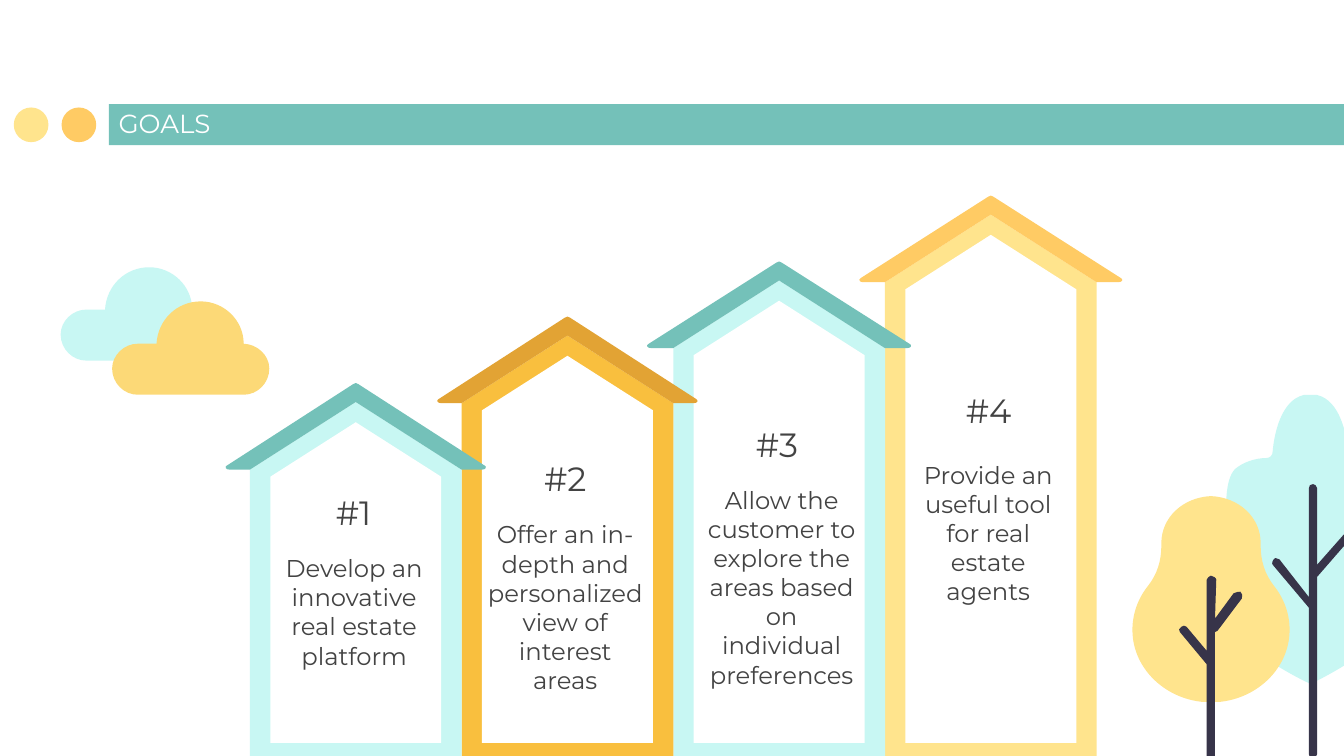
from itertools import islice

from pptx import Presentation
from pptx.dml.color import RGBColor
from pptx.enum.shapes import MSO_SHAPE
from pptx.enum.text import MSO_ANCHOR, PP_ALIGN
from pptx.oxml.xmlchemy import OxmlElement
from pptx.util import Pt

TEAL, AQUA, WHITE, INK, BARK = "74C1B9", "C8F7F3", "FFFFFF", "434343", "373449"
AMBER, CREAM = "FFCB64", "FFE48D"
HOUSE_LEFT, HOUSE_STEP, WALL_HALF, INNER_HALF = 190.6, 113.4, 56.7, 45.8
SLIDE_BOTTOM, FLOOR = 405, 398

CLOUD = [(47.5, 0), (34.6, 0, 24.5, 10, 23.8, 22.7), (13.7, 22.7), (6.5, 22.7, 0, 28.8, 0, 36),
         (0, 43.9, 6.5, 50, 13.7, 50), (70.5, 50), (77.8, 50, 84.2, 43.9, 84.2, 36),
         (84.2, 28.8, 77.8, 23, 70.5, 22.7), (70.5, 10, 59.8, 0, 47.5, 0)]
TALL_CROWN = [(0, 0), (-0.7, 0, -2.2, 0, -3.6, 0), (-15.8, 2.9, -19.4, 20.9, -20.2, 30.2),
              (-20.2, 32.4, -21.6, 33.8, -23.8, 33.8), (-29.5, 33.8, -36, 36, -40.3, 39.6),
              (-46.1, 45.4, -45.4, 61.9, -44.6, 70.6), (-44.6, 72.7, -46.1, 74.9, -49, 74.9),
              (-56.9, 74.9, -59.8, 83.5, -59.8, 83.5), (-74.9, 116.6, -9.4, 150.5, -1.4, 154.1),
              (-0.7, 154.8, 0, 154.8, 0, 154.8)]
TALL_TRUNK = [(0, 0), (-1.4, 0, -2.2, 0.7, -2.2, 2.2), (-2.2, 60.5), (-18, 40.3),
              (-18.7, 39.6, -19.4, 39.6, -20.2, 39.6), (-21.6, 40.3, -22.3, 42.5, -21.6, 43.2),
              (-2.2, 66.2), (-2.2, 144.7), (-2.2, 146.2, -1.4, 146.9, 0, 146.9),
              (0.7, 146.9, 2.2, 146.2, 2.2, 144.7), (2.2, 49.7), (21.6, 27.4),
              (22.3, 26.6, 21.6, 25.2, 20.9, 24.5), (20.2, 23.8, 19.4, 23.8, 18.7, 24.5),
              (2.2, 43.2), (2.2, 2.2), (2.2, 0.7, 0.7, 0, 0, 0)]
ROUND_CROWN = [(0, 0), (-15.1, 0.7, -26.6, 11.5, -26.6, 25.2), (-26.6, 26.6),
               (-26.6, 34.6, -28.8, 41.8, -33.8, 48.2), (-39.6, 55.4, -43.2, 65.5, -41.8, 76.3),
               (-39.6, 93.6, -24.5, 108, -5, 110.2), (-3.6, 110.2, -1.4, 110.2, 0, 110.2)]
ROUND_TRUNK = [(0, 0), (-0.7, 0, -2.2, 1.4, -2.2, 2.2), (-2.2, 40.3), (-13, 27.4),
               (-13.7, 26.6, -15.1, 26.6, -15.8, 27.4), (-17.3, 28.1, -17.3, 29.5, -16.6, 30.2),
               (-2.2, 47.5), (-2.2, 102.2), (-2.2, 103, -1.4, 104.4, 0, 104.4),
               (1.4, 104.4, 2.2, 103, 2.2, 102.2), (2.2, 30.2), (2.9, 30.2, 2.9, 29.5, 3.6, 29.5),
               (16.6, 12.2), (17.3, 10.8, 16.6, 9.4, 15.8, 8.6), (15.1, 8.6, 13.7, 8.6, 12.2, 9.4),
               (2.2, 23), (2.9, 2.2), (2.9, 1.4, 1.4, 0, 0, 0)]

GOALS = [
    (205.2, 70.4, TEAL, AQUA, (152.6, 295.7, 74.2, 85.7),
     ["Develop an innovative", "real estate", "platform"]),
    (169.6, 70.4, "E2A334", "F9BF3E", (259.2, 277.7, 87.1, 85.7),
     ["Offer an in-depth and personalized view of interest areas"]),
    (140.1, 71.4, TEAL, AQUA, (379.1, 259.1, 79.2, 85.7),
     ["Allow the customer to explore the areas based on individual preferences"]),
    (104.8, 71.1, AMBER, CREAM, (492.3, 245.7, 74.2, 85.7),
     ["Provide an useful tool for real estate agents"]),
]


def colour(hex_code):
    """Turn a hex string into a colour."""
    return RGBColor.from_string(hex_code)


class Painter:
    """Holds the style and the current slide."""

    font = "Montserrat"

    def __init__(self, slide):
        self.slide = slide

    def paint(self, shape, fill):
        shape.shadow.inherit = False
        shape.fill.solid()
        shape.fill.fore_color.rgb = colour(fill)
        shape.line.fill.background()

    def preset(self, kind, box, fill):
        self.paint(self.slide.shapes.add_shape(kind, *map(Pt, box)), fill)

    def outline(self, x, y, parts, fill, mirrored=False):
        points = [pair for part in parts for pair in zip(part[::2], part[1::2])]
        sizes = [len(part) // 2 for part in parts[1:]]
        if mirrored:
            on_axis = points[-1][0] == 0
            points += [(-dx, dy) for dx, dy in reversed(points[:-1] if on_axis else points)]
            sizes += ([] if on_axis else [1]) + sizes[::-1]
        if sizes[-1] == 1 and points[-1] == points[0]:
            points.pop()
            sizes.pop()
        corners = [(Pt(x + dx), Pt(y + dy)) for dx, dy in points]
        builder = self.slide.shapes.build_freeform(*corners[0], scale=1.0)
        builder.add_line_segments(corners[1:], close=True)
        shape = builder.convert_to_shape()
        self.bend(shape, sizes)
        self.paint(shape, fill)

    def bend(self, shape, sizes):
        segments = iter(shape._element.xpath(".//a:lnTo"))
        for size in sizes:
            group = list(islice(segments, size))
            if size == 3:
                curve = OxmlElement("a:cubicBezTo")
                group[0].addprevious(curve)
                for segment in group:
                    curve.append(segment[0])
                    segment.getparent().remove(segment)

    def house(self, centre, top, roof_half, roof, wall):
        for half, apex, shoulder, base, fill in (
            (WALL_HALF, 10.2, 46.4, SLIDE_BOTTOM, wall),
            (INNER_HALF, 21, 50.2, FLOOR, WHITE),
        ):
            side = [(0, apex), (-half, shoulder), (-half, base - top)]
            self.outline(centre, top, side, fill, mirrored=True)
        eave = [(0, 10.2), (-WALL_HALF, 46.4), (2.9 - roof_half, 46.4),
                (0.7 - roof_half, 46.4, -roof_half, 45, 1.4 - roof_half, 44.2),
                (-1.4, 0.6), (-1, 0.2, -0.5, 0, 0, 0)]
        self.outline(centre, top, eave, roof, mirrored=True)

    def text(self, box, lines, size, ink=INK, align=PP_ALIGN.CENTER,
             anchor=MSO_ANCHOR.TOP, insets=(7.2, 7.2, 7.2, 7.2)):
        frame = self.slide.shapes.add_textbox(*map(Pt, box)).text_frame
        sides = ("margin_left", "margin_top", "margin_right", "margin_bottom")
        layout = {"word_wrap": True, "vertical_anchor": anchor, **dict(zip(sides, map(Pt, insets)))}
        for key, value in layout.items():
            setattr(frame, key, value)
        for index, line in enumerate(lines):
            paragraph = frame.add_paragraph() if index else frame.paragraphs[0]
            paragraph.alignment = align
            run = paragraph.add_run()
            run.text = line
            for key, value in {"name": self.font, "size": Pt(size)}.items():
                setattr(run.font, key, value)
            run.font.color.rgb = colour(ink)


def main():
    deck = Presentation()
    deck.slide_width, deck.slide_height = Pt(720), Pt(SLIDE_BOTTOM)
    painter = Painter(deck.slides.add_slide(deck.slide_layouts[6]))

    painter.preset(MSO_SHAPE.RECTANGLE, (58.4, 55.8, 684, 22), TEAL)
    for left, fill in ((33, AMBER), (7.4, CREAM)):
        painter.preset(MSO_SHAPE.OVAL, (left, 57.6, 18.6, 18.6), fill)
    painter.text((56.4, 56.9, 394.6, 24.5), ["GOALS"], 14, WHITE, PP_ALIGN.LEFT, MSO_ANCHOR.BOTTOM)

    for index, (top, roof_half, roof, wall, _, _) in reversed(list(enumerate(GOALS))):
        painter.house(HOUSE_LEFT + index * HOUSE_STEP, top, roof_half, roof, wall)
    for index, (_, _, _, _, box, lines) in enumerate(GOALS):
        painter.text(box, lines, 13, insets=(0, 0.7, 0, 0))
        number_box = (168.2 + index * HOUSE_STEP, 256.3 - index * 18.2, 42.5, 36.7)
        painter.text(number_box, [f"#{index + 1}"], 18)

    painter.outline(702, 211.6, TALL_CROWN, AQUA, mirrored=True)
    painter.outline(703.4, 259.4, TALL_TRUNK, BARK)
    painter.outline(648.8, 265.8, ROUND_CROWN, CREAM, mirrored=True)
    painter.outline(648.7, 308.4, ROUND_TRUNK, BARK)
    for left, top, fill in ((32.5, 143.2, AQUA), (60.1, 161.5, "FCD977")):
        painter.outline(left, top, CLOUD, fill)

    deck.save("out.pptx")


if __name__ == "__main__":
    main()
